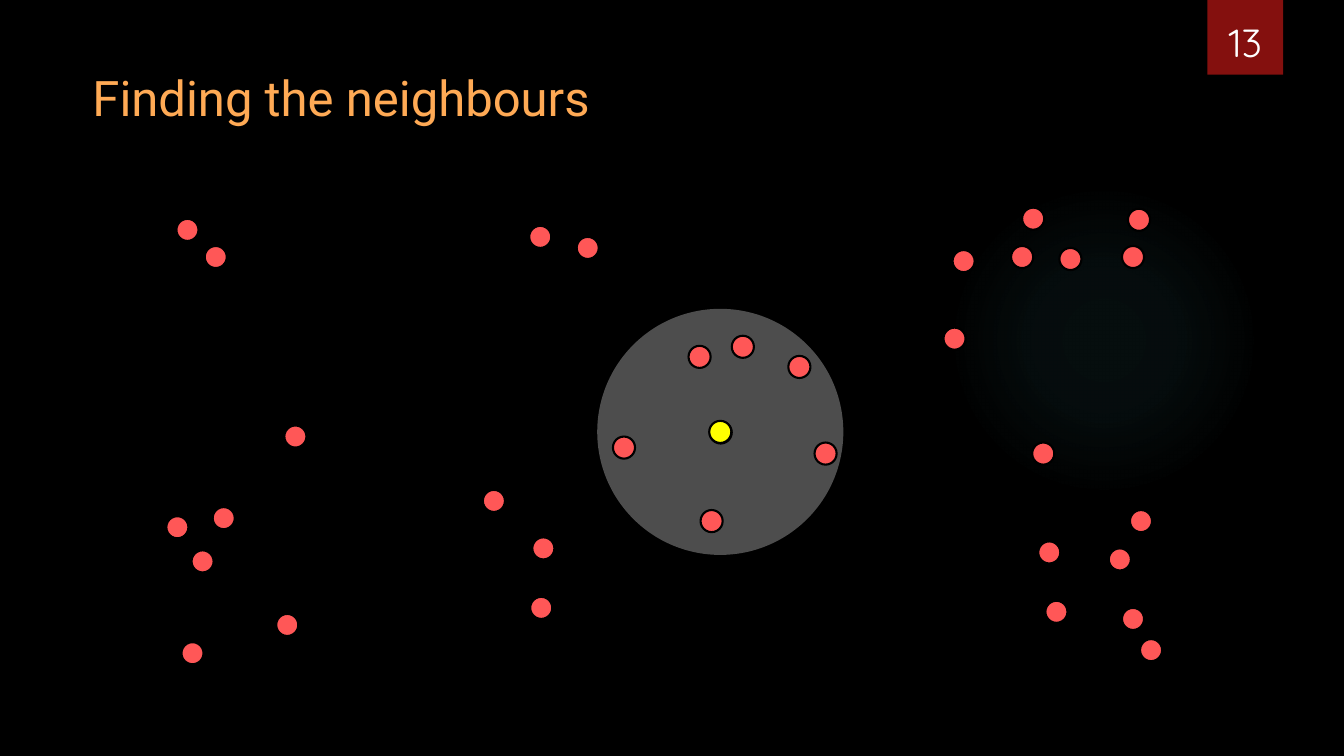
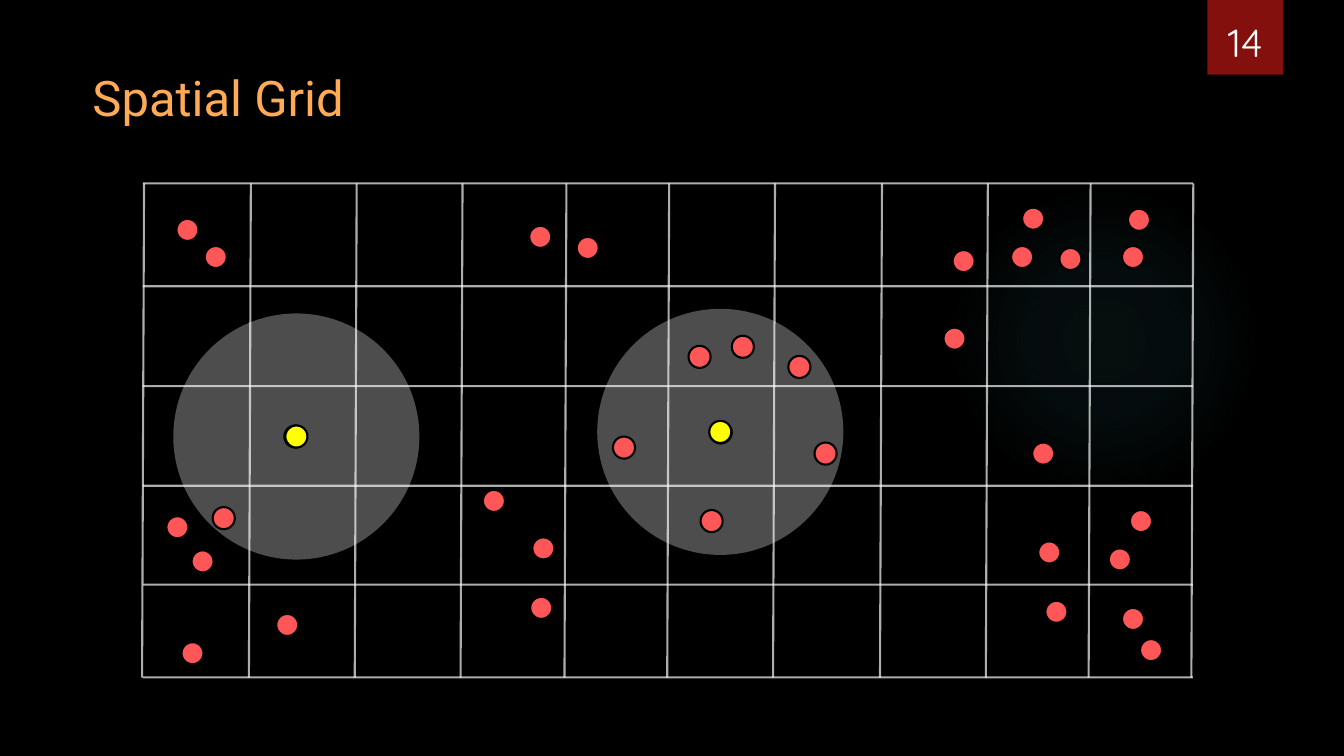
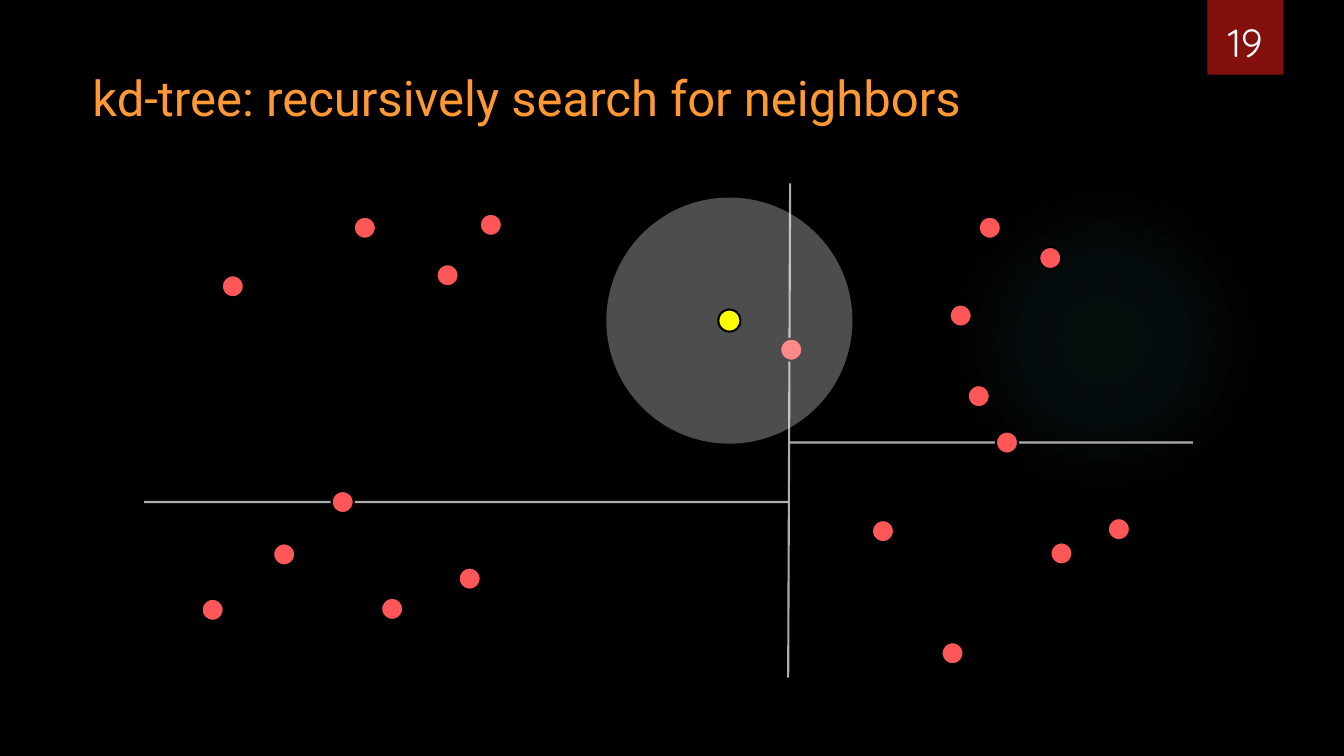
from dataclasses import dataclass

from lxml.etree import SubElement
from pptx import Presentation
from pptx.dml.color import RGBColor
from pptx.enum.shapes import MSO_CONNECTOR as Connector, MSO_SHAPE as Shape
from pptx.enum.text import MSO_ANCHOR as Anchor, MSO_AUTO_SIZE as AutoSize, PP_ALIGN as Align
from pptx.oxml import parse_xml
from pptx.oxml.ns import nsdecls, qn
from pptx.util import Pt


@dataclass(frozen=True)
class Theme:
    background: str = "000000"
    title: str = "FFAA55"
    title_strong: str = "FF9933"
    number: str = "FFFFFF"
    tag: str = "84100E"
    glow: str = "50B9C1"
    point: str = "FF5757"
    query: str = "FFFF00"
    halo: str = "FFFFFF"
    rule: str = "FFFFFF"
    title_font: str = "Roboto"
    number_font: str = "Quicksand"
    title_size: float = 35
    number_size: float = 28
    stroke: float = 1.5
    halo_opacity: int = 30
    rule_opacity: int = 67


@dataclass(frozen=True)
class Box:
    left: float
    top: float
    width: float
    height: float


THEME = Theme()
SLIDE = Box(0, 0, 960, 540)
TITLE = Box(59, 44.6, 880, 49.7)
TAG = Box(862.5, 0, 54, 53.3)
GLOW = Box(677.5, 131.8, 221.8, 221.8)
PLOT = Box(102, 131, 750, 353)

DOT_SIZE = 15.8
HALO_SIZE = 175.8
LEAN = 1.4  # how far a vertical rule drifts right on its way up

# All places below are centres, measured from the corner of the plot.
SCATTER = [
    (707.3, 311.1), (628.1, 52.6), (707.3, 52.6), (636, 25.2), (662.6, 54),
    (31.9, 33.2), (283.9, 38.2), (52.1, 52.6), (250.8, 226.8), (317.8, 46.1),
    (428.6, 116.7), (286.1, 260.7), (35.5, 335.6), (487.7, 193), (469, 131.1),
    (586.3, 55.5), (711.6, 26), (579.8, 110.9), (284.6, 303.2), (720.2, 333.4),
    (109, 180.8), (42.7, 270), (103.2, 315.4), (57.8, 239.1), (24.7, 245.6),
    (397.7, 123.9), (406.3, 241.2), (343.7, 188.7), (647.5, 263.6), (652.6, 306),
    (697.9, 268.6), (713, 241.2), (643.2, 193), (412.8, 177.9),
]
TREE_POINTS = [
    (64.3, 73.5), (248.6, 29.6), (217.7, 65.6), (648.2, 53.3), (528.7, 248.4),
    (605, 31.7), (584.2, 94.4), (597.1, 152), (233.5, 282.3), (101, 265),
    (178.1, 303.9), (49.9, 304.6), (158.6, 31.7), (463.2, 118.8), (142.8, 227.6),
    (697.2, 247), (578.4, 335.6), (617.3, 185.1), (656.2, 264.3),
]
CENTRE_QUERY = (412.5, 177.5)
LEFT_QUERY = (109.7, 180.8)
TREE_QUERY = (419, 98)

GRID_ROWS = [0, 73.5, 144.8, 216, 286.6, 352.8]
GRID_COLUMNS = [-0.5, 75.8, 151.4, 227, 301.2, 374.6, 450.2, 526.6, 602.2, 675.6, 749]
ROOT_SPLIT = 461
LEFT_SPLIT = 227.6
RIGHT_SPLIT = 185.1


def rgb(code):
    return RGBColor.from_string(code)


def set_opacity(drawn, percent):
    """Make the solid colour of a shape or connector see-through."""
    colour = drawn.element.spPr.find(".//" + qn("a:srgbClr"))
    SubElement(colour, qn("a:alpha"), val=str(percent * 1000))


def add_plain(shapes, kind, box, fill):
    plain = shapes.add_shape(kind, Pt(box.left), Pt(box.top), Pt(box.width), Pt(box.height))
    plain.shadow.inherit = False
    plain.line.fill.background()
    plain.fill.solid()
    plain.fill.fore_color.rgb = rgb(fill)
    return plain


def add_disc(shapes, plot, centre, size, fill):
    x, y = centre
    box = Box(plot.left + x - size / 2, plot.top + y - size / 2, size, size)
    return add_plain(shapes, Shape.OVAL, box, fill)


def add_dot(shapes, plot, centre, fill):
    dot = add_disc(shapes, plot, centre, DOT_SIZE, fill)
    dot.line.color.rgb = rgb(THEME.background)
    dot.line.width = Pt(THEME.stroke)


def add_dots(slide, plot, centres):
    dots = slide.shapes.add_group_shape().shapes
    for centre in centres:
        add_dot(dots, plot, centre, THEME.point)


def add_halo(slide, plot, centre):
    halo = add_disc(slide.shapes, plot, centre, HALO_SIZE, THEME.halo)
    set_opacity(halo, THEME.halo_opacity)


def add_rule(shapes, plot, start, end):
    (x1, y1), (x2, y2) = start, end
    rule = shapes.add_connector(
        Connector.STRAIGHT,
        Pt(plot.left + x1), Pt(plot.top + y1), Pt(plot.left + x2), Pt(plot.top + y2),
    )
    rule.line.color.rgb = rgb(THEME.rule)
    rule.line.width = Pt(THEME.stroke)
    set_opacity(rule, THEME.rule_opacity)
    SubElement(rule.element.spPr, qn("a:effectLst"))


def add_upright(shapes, plot, x):
    add_rule(shapes, plot, (x, plot.height), (x + LEAN, 0))


def add_grid(slide, plot):
    rules = slide.shapes.add_group_shape().shapes
    for y in GRID_ROWS:
        add_rule(rules, plot, (0, y), (plot.width, y))
    for x in GRID_COLUMNS:
        add_upright(rules, plot, x)


def add_splits(slide, plot):
    add_rule(slide.shapes, plot, (1, LEFT_SPLIT), (ROOT_SPLIT, LEFT_SPLIT))
    add_rule(slide.shapes, plot, (ROOT_SPLIT + LEAN, RIGHT_SPLIT), (plot.width, RIGHT_SPLIT))
    add_upright(slide.shapes, plot, ROOT_SPLIT)


def add_label(slide, box, text, font, size, colour):
    label = slide.shapes.add_textbox(Pt(box.left), Pt(box.top), Pt(box.width), Pt(box.height))
    frame = label.text_frame
    frame.word_wrap = True
    frame.text = text
    style = frame.paragraphs[0].runs[0].font
    style.name, style.size = font, Pt(size)
    style.color.rgb = rgb(colour)
    return frame


def add_glow(slide, box):
    glow = add_plain(slide.shapes, Shape.OVAL, box, THEME.glow)
    stops = "".join(
        f'<a:gs pos="{place * 1000}"><a:srgbClr val="{THEME.glow}">'
        f'<a:alpha val="{opacity * 1000}"/></a:srgbClr></a:gs>'
        for place, opacity in [(0, 7), (36, 6), (69, 0)]
    )
    gradient = parse_xml(
        f'<a:gradFill {nsdecls("a")}><a:gsLst>{stops}</a:gsLst><a:path path="circle">'
        '<a:fillToRect l="50000" t="50000" r="50000" b="50000"/></a:path></a:gradFill>'
    )
    properties = glow.element.spPr
    properties.replace(properties.find(qn("a:solidFill")), gradient)


def add_number_tag(slide, box, number):
    tag = add_plain(slide.shapes, Shape.RECTANGLE, box, THEME.tag)
    shadow = SubElement(
        tag.element.spPr.find(qn("a:effectLst")), qn("a:outerShdw"),
        blurRad=str(Pt(12)), dist=str(Pt(5)), dir=str(45 * 60000),
    )
    colour = SubElement(shadow, qn("a:srgbClr"), val="000000")
    SubElement(colour, qn("a:alpha"), val="40000")
    number_box = Box(box.left - 6, box.top - 10, box.width + 12, 60.5)
    frame = add_label(slide, number_box, str(number),
                      THEME.number_font, THEME.number_size, THEME.number)
    frame.vertical_anchor = Anchor.BOTTOM
    frame.paragraphs[0].alignment = Align.CENTER


def add_slide(deck, number, title, title_colour=THEME.title):
    """Start a slide with the glow, number tag and title that all share."""
    slide = deck.slides.add_slide(deck.slide_layouts[6])
    add_glow(slide, GLOW)
    add_number_tag(slide, TAG, number)
    frame = add_label(slide, TITLE, title, THEME.title_font, THEME.title_size, title_colour)
    frame.auto_size = AutoSize.SHAPE_TO_FIT_TEXT
    return slide


def neighbours_slide(deck, plot):
    slide = add_slide(deck, 13, "Finding the neighbours")
    add_halo(slide, plot, CENTRE_QUERY)
    add_dots(slide, plot, SCATTER)
    add_dot(slide.shapes, plot, CENTRE_QUERY, THEME.query)


def grid_slide(deck, plot):
    slide = add_slide(deck, 14, "Spatial Grid")
    queries = [CENTRE_QUERY, LEFT_QUERY]
    for query in queries:
        add_halo(slide, plot, query)
    add_grid(slide, plot)
    add_dots(slide, plot, SCATTER)
    for query in queries:
        add_dot(slide.shapes, plot, query, THEME.query)


def tree_slide(deck, plot):
    slide = add_slide(deck, 19, "kd-tree: recursively search for neighbors", THEME.title_strong)
    add_splits(slide, plot)
    add_dots(slide, plot, TREE_POINTS)
    add_halo(slide, plot, TREE_QUERY)
    add_dot(slide.shapes, plot, TREE_QUERY, THEME.query)


def main():
    deck = Presentation()
    deck.slide_width, deck.slide_height = Pt(SLIDE.width), Pt(SLIDE.height)
    backdrop = deck.slide_master.background.fill
    backdrop.solid()
    backdrop.fore_color.rgb = rgb(THEME.background)
    for build in (neighbours_slide, grid_slide, tree_slide):
        build(deck, PLOT)
    deck.save("out.pptx")


if __name__ == "__main__":
    main()
